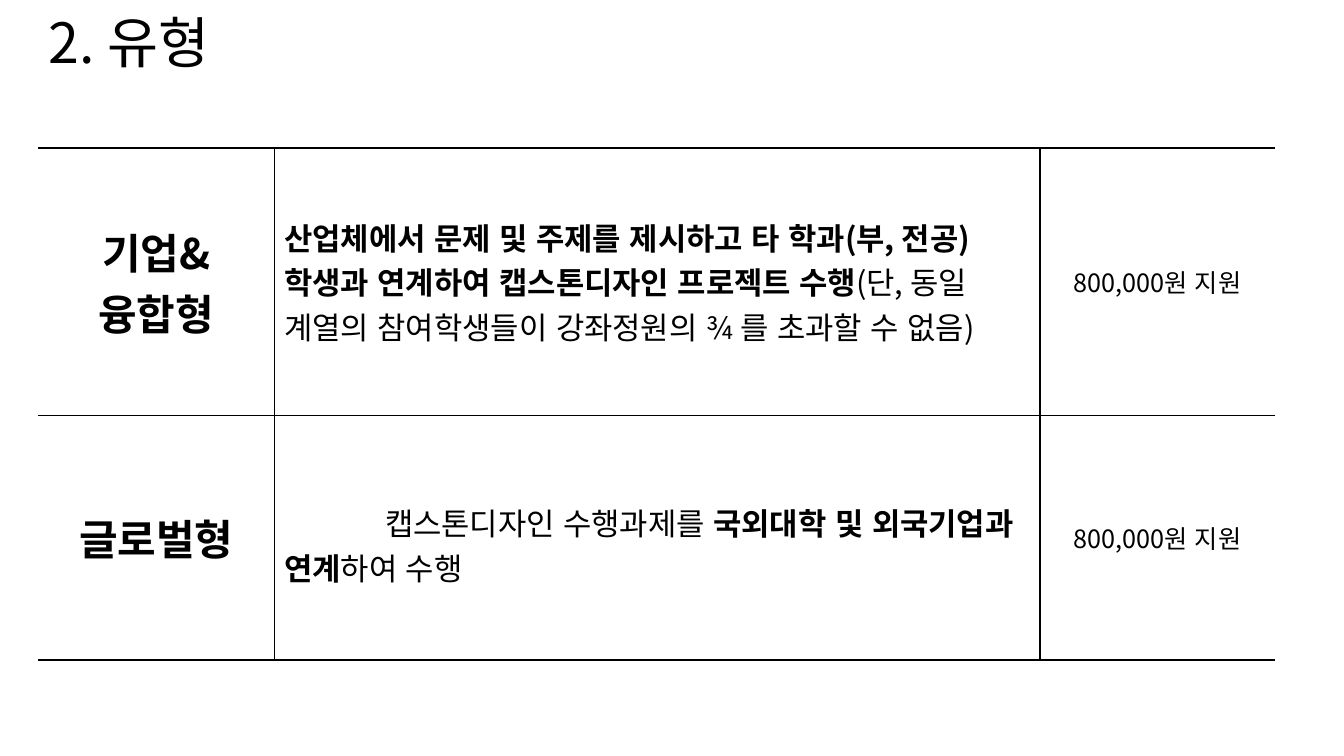
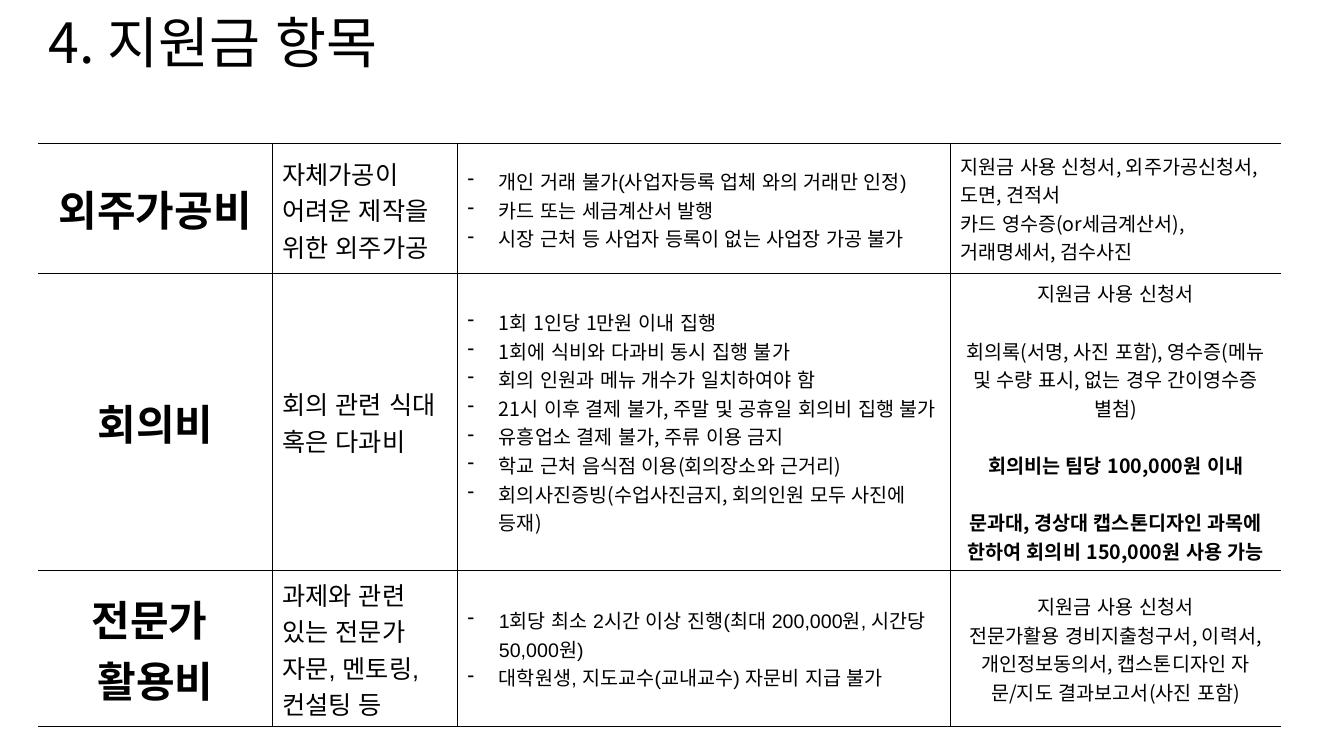
from dataclasses import dataclass

from lxml import etree
from pptx import Presentation
from pptx import util as u
from pptx.dml.color import RGBColor
from pptx.enum import lang, text
from pptx.oxml import ns

LEFT, CENTER = text.PP_ALIGN.LEFT, text.PP_ALIGN.CENTER


@dataclass(frozen=True)
class Theme:
    ink: str = "000000"
    korean: str = "Noto Sans CJK KR"
    latin: str = "Arial"
    title: float = 39.6
    label: float = 30
    lead: float = 22
    body: float = 18
    note: float = 14
    rule: float = 1
    blank_line: float = 20.5


THEME = Theme()


@dataclass(frozen=True)
class Span:
    words: str
    bold: bool = False


@dataclass(frozen=True)
class Cell:
    """Each item of paras is a string, a Span or a list of Spans."""
    paras: list
    size: float
    align: int = LEFT
    font: str = THEME.korean
    bullets: bool = False
    gaps: tuple = ()          # paragraphs that follow a one-line gap
    first_indent: float = 0
    top: float = 0.13


class Slides:
    """Holds the style and the page being built."""

    def __init__(self, theme):
        self.theme = theme
        self.deck = Presentation()
        self.deck.slide_width, self.deck.slide_height = u.Cm(33.87), u.Cm(19.05)
        self.page = None

    def span(self, para, words, size, bold=False, font=None):
        run = para.add_run()
        run.text = words
        run.font.size, run.font.bold = u.Pt(size), bold
        run.font.color.rgb = RGBColor.from_string(self.theme.ink)
        run.font.language_id = lang.MSO_LANGUAGE_ID.KOREAN
        run.font.name = font or self.theme.korean
        east_asian = etree.SubElement(run.font._element, ns.qn("a:ea"))
        east_asian.set("typeface", self.theme.korean)

    def new_page(self, title):
        self.page = self.deck.slides.add_slide(self.deck.slide_layouts[5])
        box = self.page.shapes.title
        box.left, box.top = u.Cm(0.97), u.Cm(0.23)
        box.width, box.height = u.Cm(21.16), u.Cm(1.83)
        frame = box.text_frame
        frame.auto_size = text.MSO_AUTO_SIZE.NONE
        frame.vertical_anchor = text.MSO_ANCHOR.MIDDLE
        para = frame.paragraphs[0]
        para.alignment, para.line_spacing = LEFT, 0.9
        self.span(para, title, self.theme.title)

    def borders(self, cell, sides):
        """Rule the given sides (letters of LRTB) and clear the others."""
        props = cell._tc.get_or_add_tcPr()
        for side in "LRTB":
            line = etree.SubElement(props, ns.qn(f"a:ln{side}"))
            line.set("w", str(u.Pt(self.theme.rule)))
            if side in sides:
                fill = etree.SubElement(line, ns.qn("a:solidFill"))
                etree.SubElement(fill, ns.qn("a:srgbClr")).set("val", self.theme.ink)
            else:
                etree.SubElement(line, ns.qn("a:noFill"))

    def indent(self, para, margin, first, bullet=None):
        props = para._p.get_or_add_pPr()
        props.set("marL", str(u.Cm(margin)))
        props.set("indent", str(u.Cm(first)))
        if bullet:
            etree.SubElement(props, ns.qn("a:buChar")).set("char", bullet)

    def fill_cell(self, cell, content):
        cell.vertical_anchor = text.MSO_ANCHOR.MIDDLE
        cell.margin_top = u.Cm(content.top)
        frame = cell.text_frame
        for number, spans in enumerate(content.paras):
            para = frame.add_paragraph() if number else frame.paragraphs[0]
            if content.bullets:
                self.indent(para, 0.79, -0.79, "-")
            elif content.first_indent:
                self.indent(para, 0, content.first_indent)
            para.alignment = content.align
            if number in content.gaps:
                para.space_before = u.Pt(self.theme.blank_line)
            for part in spans if isinstance(spans, list) else [spans]:
                part = part if isinstance(part, Span) else Span(part)
                self.span(para, part.words, content.size, part.bold, content.font)

    def table(self, top, widths, heights, rows):
        frame = self.page.shapes.add_table(
            len(heights), len(widths), u.Cm(0.97), u.Cm(top),
            u.Cm(sum(widths)), u.Cm(sum(heights)))
        grid = frame.table
        grid.first_row = grid.horz_banding = False
        for column, width in zip(grid.columns, widths):
            column.width = u.Cm(width)
        for row, height in zip(grid.rows, heights):
            row.height = u.Cm(height)
        last = len(widths) - 1
        for r, row in enumerate(rows):
            for c, content in enumerate(row):
                cell = grid.cell(r, c)
                self.borders(cell, "TB" + "L" * (c > 0) + "R" * (c < last))
                cell.fill.background()
                self.fill_cell(cell, content)


# Kinds of cell
def label(*lines):
    return Cell([Span(line, True) for line in lines], THEME.label, CENTER)


def amount(words):
    return Cell([words], THEME.body, CENTER)


def purpose(words, **style):
    return Cell([words], THEME.body, font=THEME.latin, **style)


def conditions(*lines, **style):
    return Cell(list(lines), THEME.note, bullets=True, **style)


def documents(*lines, align=CENTER, **style):
    return Cell(list(lines), THEME.note, align, **style)


def main():
    slides = Slides(THEME)

    # Types of project
    slides.new_page("2. 유형")
    slides.table(3.73, [5.94, 19.3, 5.92], [6.73, 6.17], [
        [label("기업&융합형"),
         Cell([[Span("산업체에서 문제 및 주제를 제시하고 타 학과(부, 전공) 학생과 "
                     "연계하여 캡스톤디자인 프로젝트 수행", True),
                Span("(단, 동일 계열의 참여학생들이 강좌정원의 ¾ 를 초과할 수 없음)")]],
              THEME.lead),
         amount("800,000원 지원")],
        [label("글로벌형"),
         Cell([[Span("캡스톤디자인 수행과제를 "),
                Span("국외대학 및 외국기업과 연계", True),
                Span("하여 수행")]],
              THEME.lead, first_indent=2.54, top=0.48),
         amount("800,000원 지원")],
    ])

    # Items covered by the grant
    slides.new_page("4. 지원금 항목")
    slides.table(3.61, [5.89, 4.67, 12.42, 8.33], [3.28, 7.49, 3.43], [
        [label("외주가공비"),
         purpose("자체가공이 어려운 제작을 위한 외주가공", top=0.2),
         conditions("개인 거래 불가(사업자등록 업체 와의 거래만 인정)",
                    "카드 또는 세금계산서 발행",
                    "시장 근처 등 사업자 등록이 없는 사업장 가공 불가",
                    font=THEME.latin, top=0.2),
         documents("지원금 사용 신청서, 외주가공신청서, 도면, 견적서",
                   "카드 영수증(or세금계산서), 거래명세서, 검수사진", align=LEFT)],
        [label("회의비"),
         purpose("회의 관련 식대 혹은 다과비"),
         conditions("1회 1인당 1만원 이내 집행",
                    "1회에 식비와 다과비 동시 집행 불가",
                    "회의 인원과 메뉴 개수가 일치하여야 함",
                    "21시 이후 결제 불가, 주말 및 공휴일 회의비 집행 불가",
                    "유흥업소 결제 불가, 주류 이용 금지",
                    "학교 근처 음식점 이용(회의장소와 근거리)",
                    "회의사진증빙(수업사진금지, 회의인원 모두 사진에 등재)"),
         documents("지원금 사용 신청서",
                   "회의록(서명, 사진 포함), 영수증(메뉴 및 수량 표시, 없는 경우 "
                   "간이영수증 별첨)",
                   Span("회의비는 팀당 100,000원 이내", True),
                   Span("문과대, 경상대 캡스톤디자인 과목에 한하여 회의비 "
                        "150,000원 사용 가능", True),
                   gaps=(1, 2, 3))],
        [label("전문가 ", "활용비"),
         purpose("과제와 관련 있는 전문가 자문, 멘토링, 컨설팅 등"),
         conditions("1회당 최소 2시간 이상 진행(최대 200,000원, 시간당 50,000원)",
                    "대학원생, 지도교수(교내교수) 자문비 지급 불가",
                    font=THEME.latin),
         documents("지원금 사용 신청서",
                   "전문가활용 경비지출청구서, 이력서, 개인정보동의서, "
                   "캡스톤디자인 자문/지도 결과보고서(사진 포함)")],
    ])

    slides.deck.save("out.pptx")


if __name__ == "__main__":
    main()
